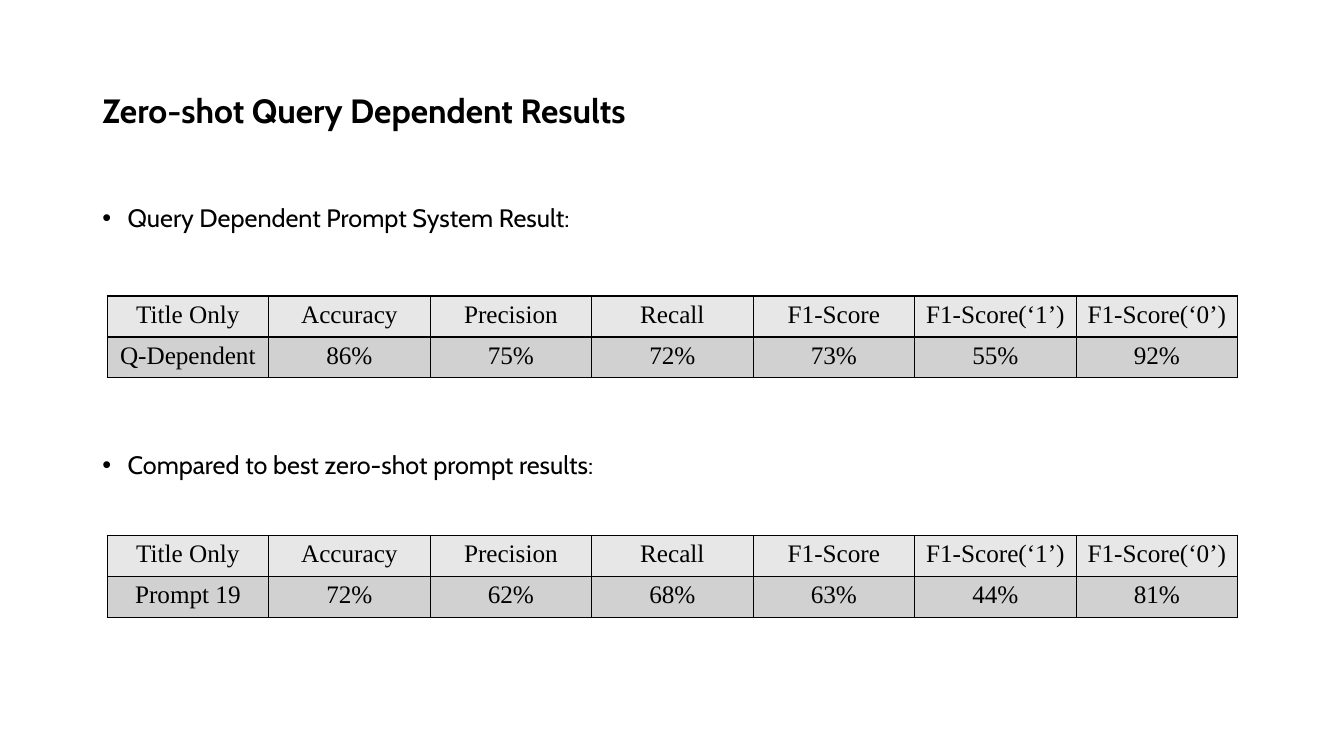
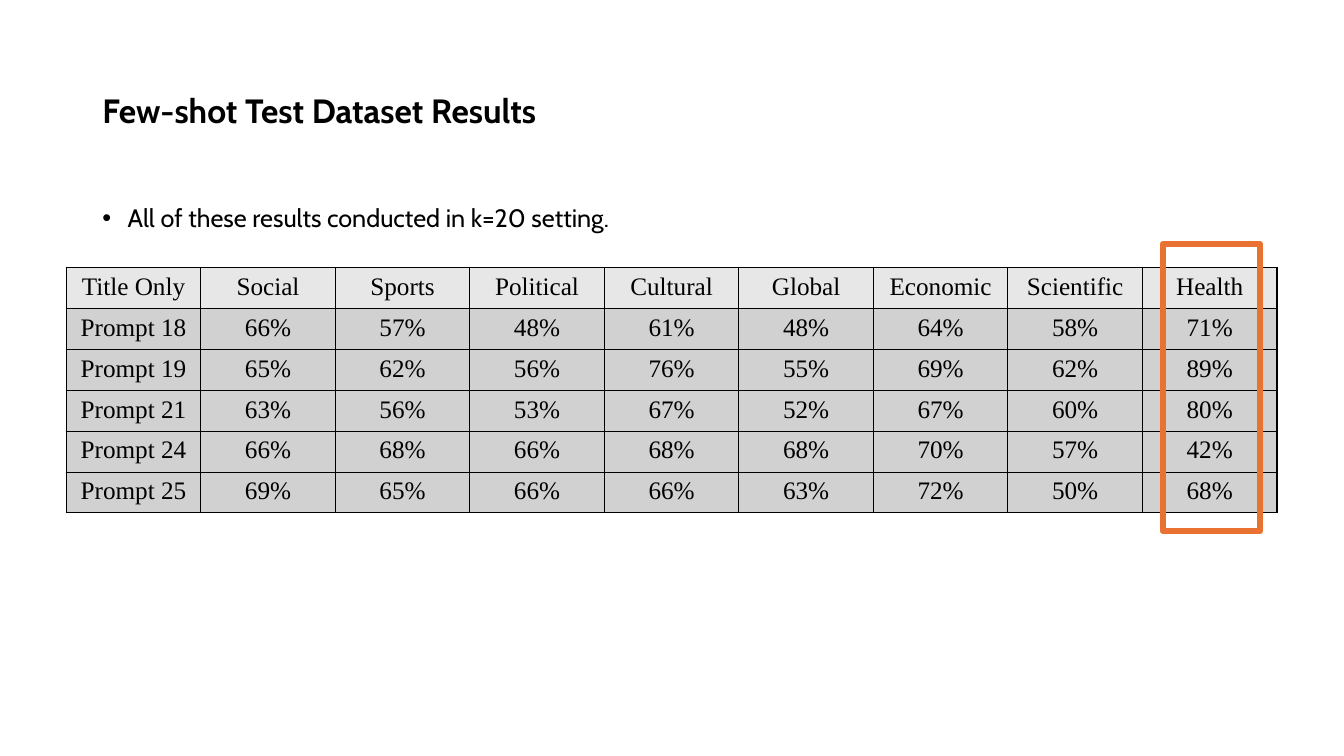
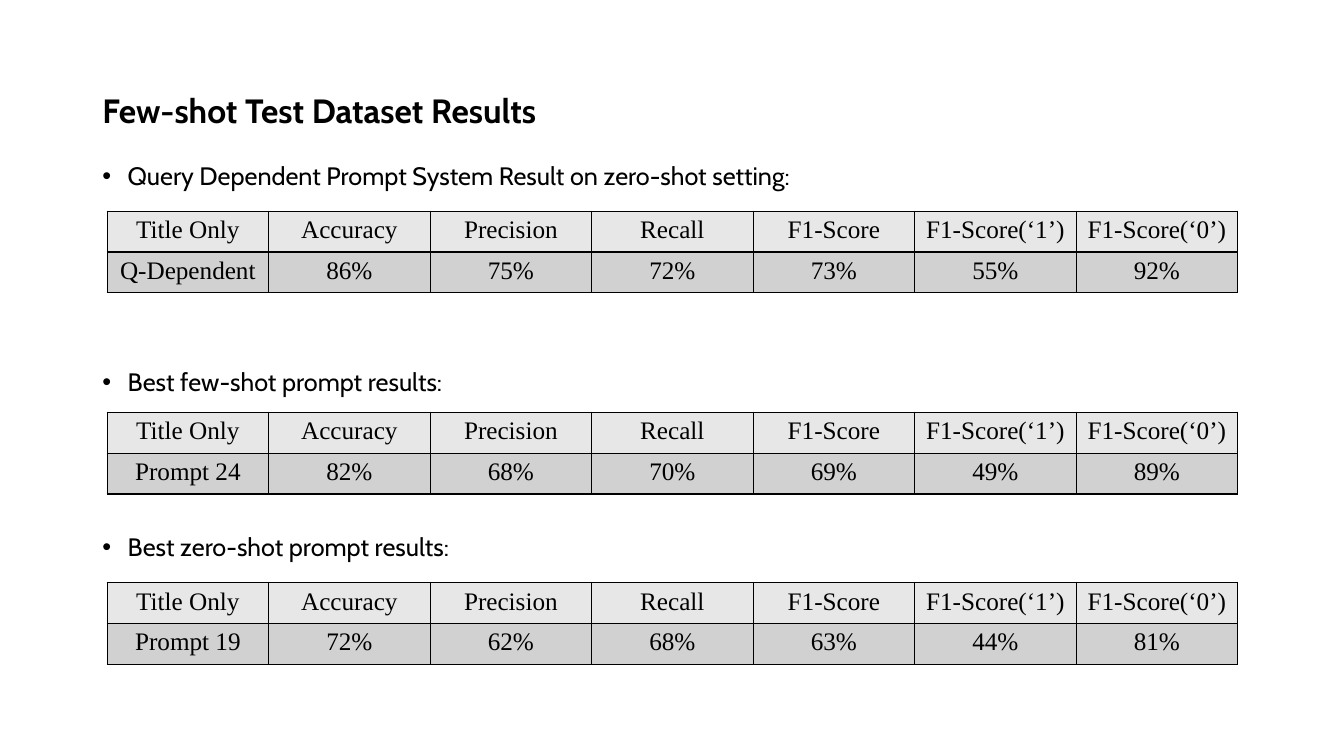
from lxml.etree import SubElement
from pptx import Presentation
from pptx.dml.color import RGBColor
from pptx.enum.shapes import MSO_SHAPE
from pptx.enum.text import MSO_ANCHOR, PP_ALIGN
from pptx.oxml.ns import qn
from pptx.util import Cm, Pt

COLORS = {
    "text": "000000",
    "border": "000000",
    "header": "E7E7E7",
    "body": "D1D1D1",
    "highlight": "E97132",
}
HEAD_FONT = "Cabin"
TABLE_FONT = "Times New Roman"
BLANK_LAYOUT = 6

TEXT_LEFT, TEXT_WIDTH = 2.33, 29.21
ROW_HEIGHT = 1.03
BULLET_INDENT = 0.64
BULLET_GAP = 10     # points above each bullet
LINE_STEP = 29.4    # points from one text line to the next

METRICS = ["Title Only", "Accuracy", "Precision", "Recall",
           "F1-Score", "F1-Score(‘1’)", "F1-Score(‘0’)"]
Q_DEPENDENT = ["Q-Dependent", 86, 75, 72, 73, 55, 92]
BEST_ZERO_SHOT = ["Prompt 19", 72, 62, 68, 63, 44, 81]
BEST_FEW_SHOT = ["Prompt 24", 82, 68, 70, 69, 49, 89]

TOPICS = ["Title Only", "Social", "Sports", "Political", "Cultural",
          "Global", "Economic", "Scientific", "Health"]
TOPIC_SCORES = [
    ["Prompt 18", 66, 57, 48, 61, 48, 64, 58, 71],
    ["Prompt 19", 65, 62, 56, 76, 55, 69, 62, 89],
    ["Prompt 21", 63, 56, 53, 67, 52, 67, 60, 80],
    ["Prompt 24", 66, 68, 66, 68, 68, 70, 57, 42],
    ["Prompt 25", 69, 65, 66, 66, 63, 72, 50, 68],
]


def color(name):
    return RGBColor.from_string(COLORS[name])


def style_runs(para, font, size, bold=False):
    for span in para.runs:
        span.font.name = font
        span.font.size = Pt(size)
        span.font.bold = bold
        span.font.color.rgb = color("text")


def add_text_frame(page, top, height):
    box = page.shapes.add_textbox(Cm(TEXT_LEFT), Cm(top), Cm(TEXT_WIDTH), Cm(height))
    box.text_frame.word_wrap = True
    return box.text_frame


def add_page(deck, title):
    page = deck.slides.add_slide(deck.slide_layouts[BLANK_LAYOUT])
    frame = add_text_frame(page, 1.01, 3.68)
    frame.vertical_anchor = MSO_ANCHOR.MIDDLE
    frame.text = title
    para = frame.paragraphs[0]
    para.line_spacing = 0.9
    style_runs(para, HEAD_FONT, 24, bold=True)
    return page


def set_bullet(para):
    props = para._p.get_or_add_pPr()
    props.set("marL", str(Cm(BULLET_INDENT)))
    props.set("indent", str(-Cm(BULLET_INDENT)))
    SubElement(props, qn("a:buFont"), typeface="Arial")
    SubElement(props, qn("a:buChar"), char="•")


def add_bullets(page, top, bullets):
    """Write (text, lines left free above it) pairs into one text box."""
    frame = add_text_frame(page, top, 12.09)
    for index, (text, free_lines) in enumerate(bullets):
        para = frame.add_paragraph() if index else frame.paragraphs[0]
        para.text = text
        para.line_spacing = 0.9
        para.space_before = Pt(BULLET_GAP + free_lines * LINE_STEP)
        set_bullet(para)
        style_runs(para, HEAD_FONT, 18)


def set_borders(cell):
    props = cell._tc.get_or_add_tcPr()
    for side in ("lnL", "lnR", "lnT", "lnB"):
        line = SubElement(props, qn(f"a:{side}"), w=str(Pt(1)))
        fill = SubElement(line, qn("a:solidFill"))
        SubElement(fill, qn("a:srgbClr"), val=COLORS["border"])


def fill_cell(cell, value, fill_name):
    cell.text = value if isinstance(value, str) else f"{value}%"
    para = cell.text_frame.paragraphs[0]
    para.alignment = PP_ALIGN.CENTER
    style_runs(para, TABLE_FONT, 18)
    set_borders(cell)
    cell.fill.solid()
    cell.fill.fore_color.rgb = color(fill_name)


def add_score_table(page, left, top, column_width, header, score_rows):
    rows = [header, *score_rows]
    table = page.shapes.add_table(
        len(rows), len(header), Cm(left), Cm(top),
        Cm(column_width * len(header)), Cm(ROW_HEIGHT * len(rows))).table
    table.first_row = table.horz_banding = False
    for column in table.columns:
        column.width = Cm(column_width)
    for row_index, values in enumerate(rows):
        table.rows[row_index].height = Cm(ROW_HEIGHT)
        fill_name = "body" if row_index else "header"
        for column_index, value in enumerate(values):
            fill_cell(table.cell(row_index, column_index), value, fill_name)
    return table


def add_metric_table(page, top, scores):
    add_score_table(page, 2.7, top, 4.07, METRICS, [scores])


def add_highlight(page, left, top, width, height):
    frame = page.shapes.add_shape(
        MSO_SHAPE.RECTANGLE, Cm(left), Cm(top), Cm(width), Cm(height))
    frame.shadow.inherit = False
    frame.fill.background()
    frame.line.color.rgb = color("highlight")
    frame.line.width = Pt(4.5)


def add_zero_shot_page(deck):
    page = add_page(deck, "Zero-shot Query Dependent Results")
    add_bullets(page, 5.07, [
        ("Query Dependent Prompt System Result:", 0),
        ("Compared to best zero-shot prompt results:", 5),
    ])
    add_metric_table(page, 7.46, Q_DEPENDENT)
    add_metric_table(page, 13.49, BEST_ZERO_SHOT)


def add_topics_page(deck):
    page = add_page(deck, "Few-shot Test Dataset Results")
    table = add_score_table(page, 1.67, 6.75, 3.39, TOPICS, TOPIC_SCORES)
    table.rows[len(TOPIC_SCORES)].height = Cm(0.97)
    add_bullets(page, 5.07, [("All of these results conducted in k=20 setting.", 0)])
    add_highlight(page, 29.31, 6.15, 2.44, 7.24)


def add_comparison_page(deck):
    page = add_page(deck, "Few-shot Test Dataset Results")
    add_bullets(page, 4.01, [
        ("Query Dependent Prompt System Result on zero-shot setting:", 0),
        ("Best few-shot prompt results:", 4),
        ("Best zero-shot prompt results:", 3),
    ])
    add_metric_table(page, 5.32, Q_DEPENDENT)
    add_metric_table(page, 10.39, BEST_FEW_SHOT)
    add_metric_table(page, 14.68, BEST_ZERO_SHOT)


def main():
    deck = Presentation()
    deck.slide_width, deck.slide_height = Cm(33.87), Cm(19.05)
    add_zero_shot_page(deck)
    add_topics_page(deck)
    add_comparison_page(deck)
    deck.save("out.pptx")


if __name__ == "__main__":
    main()
